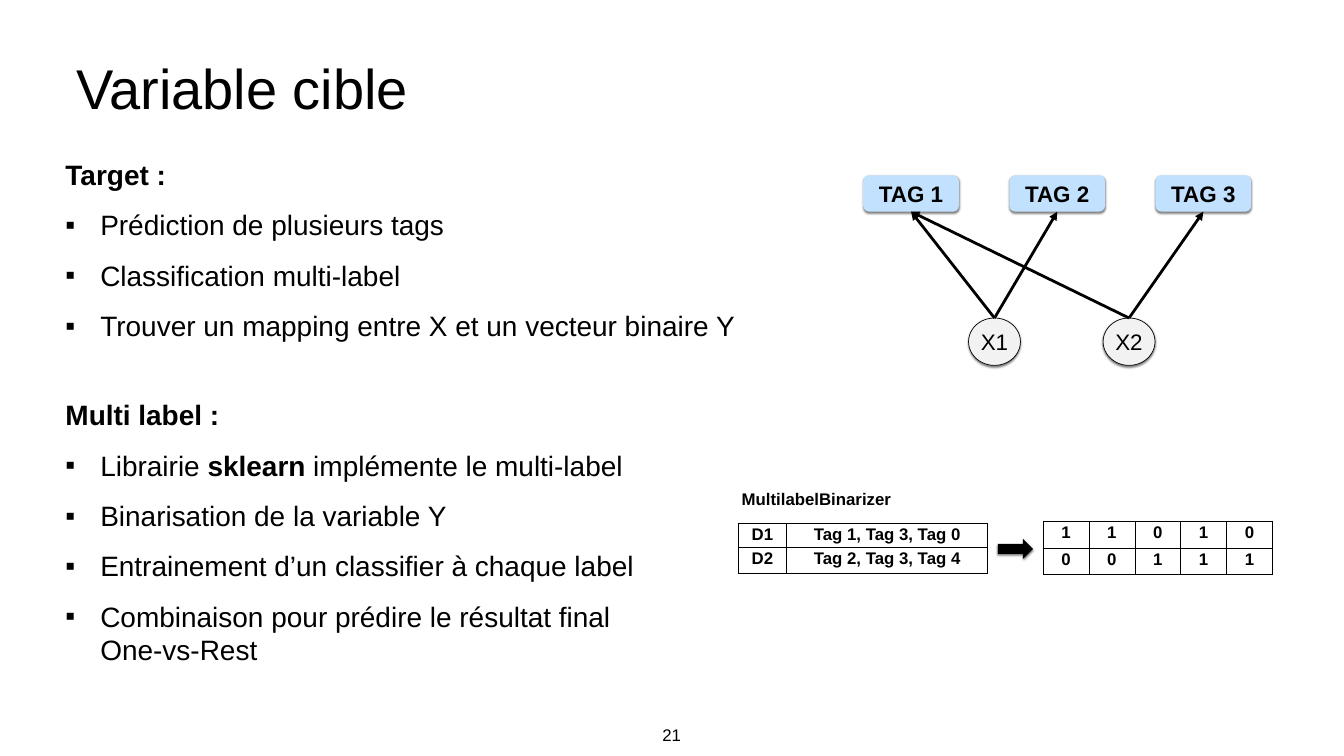
from dataclasses import dataclass

from lxml.etree import SubElement
from pptx import Presentation
from pptx.dml.color import RGBColor
from pptx.enum.shapes import MSO_CONNECTOR, MSO_SHAPE
from pptx.enum.text import MSO_ANCHOR, MSO_AUTO_SIZE, PP_ALIGN
from pptx.oxml.ns import qn
from pptx.util import Pt

PX = 9144
TITLE_ONLY = 5
STRAIGHT = MSO_CONNECTOR.STRAIGHT
ELLIPSE = MSO_SHAPE.OVAL
ROUNDED = MSO_SHAPE.ROUNDED_RECTANGLE
RIGHT_ARROW = MSO_SHAPE.RIGHT_ARROW
TOP, MIDDLE = MSO_ANCHOR.TOP, MSO_ANCHOR.MIDDLE
NO_FIT = MSO_AUTO_SIZE.NONE
LEFT, CENTER = PP_ALIGN.LEFT, PP_ALIGN.CENTER
SITE_TOP, SITE_BOTTOM = 0, 2


@dataclass(frozen=True)
class Theme:
    font: str = "Arial"
    ink: str = "000000"
    tag: str = "C1E1FE"
    node: str = "F2F2F2"
    title: int = 80
    body: int = 40
    label: int = 32
    small: int = 24
    gap: int = 12
    inset: int = 6
    cell_inset: int = 4
    indent: int = 69


class SlideBuilder:
    def __init__(self, slide, theme):
        self.slide = slide
        self.theme = theme

    def place(self, *lengths):
        return [length * PX for length in lengths]

    def color(self, value):
        return RGBColor.from_string(value)

    def style(self, para, size, bold=False, align=LEFT):
        para.alignment = align
        font = para.font
        font.name, font.size, font.bold = self.theme.font, Pt(size), bold
        font.color.rgb = self.color(self.theme.ink)

    def frame(self, shape, anchor=MIDDLE, wrap=True):
        frame = shape.text_frame
        frame.auto_size, frame.word_wrap = NO_FIT, wrap
        frame.vertical_anchor = anchor
        inset = self.theme.inset * PX
        frame.margin_left = frame.margin_right = inset
        frame.margin_top = frame.margin_bottom = inset
        return frame

    def title(self, text, *box):
        holder = self.slide.shapes.title
        holder.left, holder.top, holder.width, holder.height = self.place(*box)
        para = self.frame(holder).paragraphs[0]
        para.text = text
        self.style(para, self.theme.title)

    def caption(self, text, *box, anchor=MIDDLE, bold=False):
        shape = self.slide.shapes.add_textbox(*self.place(*box))
        para = self.frame(shape, anchor, wrap=False).paragraphs[0]
        para.text = text
        self.style(para, self.theme.small, bold, CENTER)

    def bullets(self, heading, items, *box):
        shape = self.slide.shapes.add_textbox(*self.place(*box))
        frame = self.frame(shape)
        para = frame.paragraphs[0]
        para.text = heading
        para.space_before = para.space_after = Pt(self.theme.gap)
        self.style(para, self.theme.body, bold=True)
        for item in items:
            para = frame.add_paragraph()
            para.space_before = para.space_after = Pt(self.theme.gap)
            self.bullet(para)
            self.style(para, self.theme.body)
            if isinstance(item, str):
                para.text = item
                continue
            for text, bold in item:
                span = para.add_run()
                span.text, span.font.bold = text, bold

    def bullet(self, para):
        properties = para._p.get_or_add_pPr()
        indent = self.theme.indent * PX
        properties.set("marL", str(indent))
        properties.set("indent", str(-indent))
        SubElement(properties, qn("a:buFont"), typeface=self.theme.font)
        SubElement(properties, qn("a:buChar"), char="▪")

    def shape(self, kind, fill, *box, text="", bold=False, outline=False):
        shape = self.slide.shapes.add_shape(kind, *self.place(*box))
        shape.fill.solid()
        shape.fill.fore_color.rgb = self.color(fill)
        if outline:
            shape.line.color.rgb = self.color(self.theme.ink)
            shape.line.width = Pt(1)
        else:
            shape.line.fill.background()
        self.shadow(shape)
        if text:
            para = self.frame(shape).paragraphs[0]
            para.text = text
            self.style(para, self.theme.label, bold, CENTER)
        return shape

    def shadow(self, shape):
        shape.shadow.inherit = False
        effects = shape._element.spPr.find(qn("a:effectLst"))
        outer = SubElement(effects, qn("a:outerShdw"), blurRad=str(Pt(3)),
                           dist=str(Pt(2)), dir="5400000", rotWithShape="0")
        tint = SubElement(outer, qn("a:srgbClr"), val=self.theme.ink)
        SubElement(tint, qn("a:alpha"), val="50000")

    def arrow(self, start, end):
        line = self.slide.shapes.add_connector(STRAIGHT, 0, 0, 0, 0)
        line.begin_connect(start, SITE_TOP)
        line.end_connect(end, SITE_BOTTOM)
        line.line.color.rgb = self.color(self.theme.ink)
        line.line.width = Pt(4)
        SubElement(line.line._get_or_add_ln(), qn("a:tailEnd"), type="triangle")
        SubElement(line._element.spPr, qn("a:effectLst"))

    def table(self, rows, left, top, widths, heights):
        box = self.place(left, top, sum(widths), sum(heights))
        table = self.slide.shapes.add_table(len(rows), len(widths), *box).table
        table.first_row = table.horz_banding = False
        for column, width in zip(table.columns, widths):
            column.width = width * PX
        for row, height, texts in zip(table.rows, heights, rows):
            row.height = height * PX
            for cell, text in zip(row.cells, texts):
                self.cell(cell, text)

    def cell(self, cell, text):
        properties = cell._tc.get_or_add_tcPr()
        for side in ("a:lnL", "a:lnR", "a:lnT", "a:lnB"):
            border = SubElement(properties, qn(side), w=str(Pt(1)))
            fill = SubElement(border, qn("a:solidFill"))
            SubElement(fill, qn("a:srgbClr"), val=self.theme.ink)
        cell.fill.background()
        cell.vertical_anchor = TOP
        inset = self.theme.cell_inset * PX
        cell.margin_left = cell.margin_right = inset
        cell.margin_top = cell.margin_bottom = inset
        para = cell.text_frame.paragraphs[0]
        para.text = text
        self.style(para, self.theme.small, bold=True, align=CENTER)


def main():
    deck = Presentation()
    deck.slide_width, deck.slide_height = 2667 * PX, 1500 * PX
    theme = Theme()
    page = SlideBuilder(deck.slides.add_slide(deck.slide_layouts[TITLE_ONLY]), theme)

    page.title("Variable cible", 145, 83, 2337, 181)
    page.caption("21", 1308, 1431, 50, 51, anchor=TOP)
    page.bullets("Target :", [
        "Prédiction de plusieurs tags",
        "Classification multi-label",
        "Trouver un mapping entre X et un vecteur binaire Y",
    ], 124, 338, 1596, 316)
    page.bullets("Multi label :", [
        [("Librairie ", False), ("sklearn", True), (" implémente le multi-label", False)],
        "Binarisation de la variable Y",
        "Entrainement d’un classifier à chaque label",
        "Combinaison pour prédire le résultat final\vOne-vs-Rest",
    ], 124, 728, 1440, 656)

    page.caption("MultilabelBinarizer", 1465, 964, 310, 52, bold=True)
    page.table([("D1", "Tag 1, Tag 3, Tag 0"), ("D2", "Tag 2, Tag 3, Tag 4")],
               1465, 1038, [96, 399], [48, 52])
    page.shape(RIGHT_ARROW, theme.ink, 1980, 1069, 70, 40)
    page.table(["11010", "00111"], 2070, 1034, [91] * 5, [53] * 2)

    nodes = [page.shape(ELLIPSE, theme.node, 1922 + 267 * index, 631, 103, 94,
                        text=f"X{index + 1}", outline=True) for index in range(2)]
    tags = [page.shape(ROUNDED, theme.tag, 1713 + 290 * index, 348, 190, 72,
                       text=f"TAG {index + 1}", bold=True) for index in range(3)]
    for node, tag in [(0, 0), (0, 1), (1, 0), (1, 2)]:
        page.arrow(nodes[node], tags[tag])

    deck.save("out.pptx")


if __name__ == "__main__":
    main()
